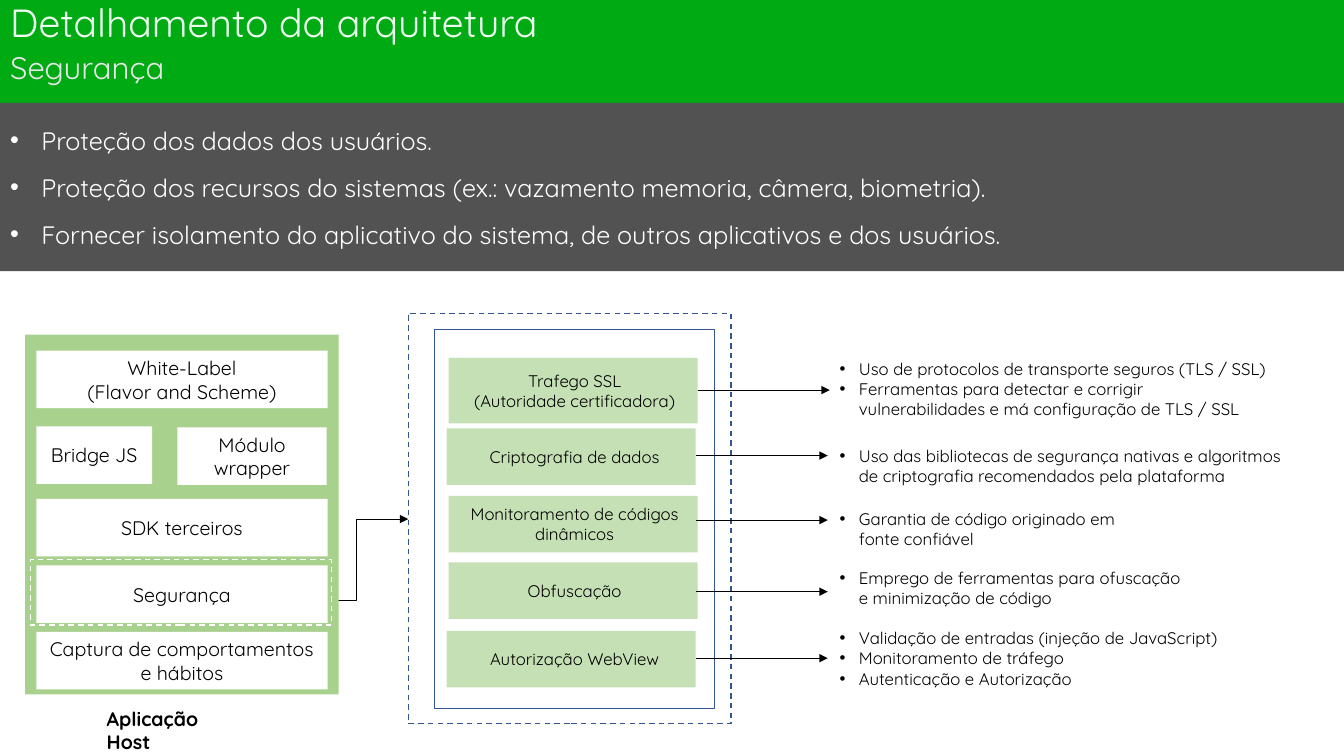
import pptx
import pptx.util
import pptx.dml.color
import pptx.enum.dml
import pptx.enum.shapes
import pptx.enum.text
import pptx.oxml.ns
from lxml import etree

Inches = pptx.util.Inches
Pt = pptx.util.Pt
ALIGN = pptx.enum.text.PP_ALIGN
ANCHOR = pptx.enum.text.MSO_ANCHOR
CONNECTOR = pptx.enum.shapes.MSO_CONNECTOR
FONT = "Quicksand"
COLORS = {
    "header": "00AA13", "title": "EFFFF1", "subtitle": "E7E6E6",
    "goals": "525252", "white": "FFFFFF", "black": "000000",
    "frame": "325491", "measure": "C5E0B4", "host": "A9D18E",
}

GOALS = [
    "Proteção dos dados dos usuários.",
    "Proteção dos recursos do sistemas (ex.: vazamento memoria, câmera, biometria).",
    "Fornecer isolamento do aplicativo do sistema, de outros aplicativos e dos usuários.",
]

COMPONENTS = [
    ("White-Label\v(Flavor and Scheme)", 0.11, 0.16, 2.89),
    ("Bridge JS", 0.11, 0.91, 1.15),
    ("Módulo wrapper", 1.51, 0.92, 1.48),
    ("SDK terceiros", 0.11, 1.63, 2.89),
    ("Segurança", 0.11, 2.29, 2.89),
    ("Captura de comportamentos\ve hábitos", 0.11, 2.95, 2.89),
]

MEASURES = [
    ("Trafego SSL\n(Autoridade certificadora)", 0.4, 0.44, 0.65),
    ("Criptografia de dados", 0.38, 1.14, 0.56),
    ("Monitoramento de códigos dinâmicos", 0.4, 1.81, 0.56),
    ("Obfuscação", 0.4, 2.47, 0.56),
    ("Autorização WebView", 0.38, 3.15, 0.56),
]

DETAILS = [
    (["Uso de protocolos de transporte seguros (TLS / SSL)",
      "Ferramentas para detectar e corrigir vulnerabilidades e má configuração de TLS / SSL"],
     0.4, 4.49, 0.71, 6.92, 0.76),
    (["Uso das bibliotecas de segurança nativas e algoritmos de criptografia "
      "recomendados pela plataforma"], 1.26, 4.62, 0.5, 6.9, 1.41),
    (["Garantia de código originado em fonte confiável"], 1.89, 3.2, 0.5, 6.9, 2.05),
    (["Emprego de ferramentas para ofuscação e minimização de código"],
     2.47, 3.7, 0.5, 6.9, 2.76),
    (["Validação de entradas (injeção de JavaScript)", "Monitoramento de tráfego",
      "Autenticação e Autorização"], 3.07, 4.19, 0.71, 6.9, 3.42),
]


def color(name):
    return pptx.dml.color.RGBColor.from_string(COLORS[name])


def place(shape, left, top, width, height):
    shape.left, shape.top = Inches(left), Inches(top)
    shape.width, shape.height = Inches(width), Inches(height)


def set_indent(paragraph, indent, bullet):
    properties = paragraph._p.get_or_add_pPr()
    properties.set("marL", str(Inches(indent)))
    properties.set("indent", str(-Inches(indent)))
    if bullet:
        font = etree.SubElement(properties, pptx.oxml.ns.qn("a:buFont"))
        font.set("typeface", "Arial")
        mark = etree.SubElement(properties, pptx.oxml.ns.qn("a:buChar"))
        mark.set("char", "•")
    else:
        etree.SubElement(properties, pptx.oxml.ns.qn("a:buNone"))


def write(shape, text, size, ink="black", align=ALIGN.LEFT, anchor=ANCHOR.TOP,
          indent=None, bullet=True, after=0, spacing=1.0, bold=False):
    frame = shape.text_frame
    frame.text = text
    frame.word_wrap = True
    frame.auto_size = pptx.enum.text.MSO_AUTO_SIZE.NONE
    frame.vertical_anchor = anchor
    for paragraph in frame.paragraphs:
        if indent is not None:
            set_indent(paragraph, indent, bullet)
        paragraph.alignment = align
        paragraph.line_spacing = spacing
        paragraph.space_before = Pt(0)
        paragraph.space_after = Pt(after)
        paragraph.font.name = FONT
        paragraph.font.size = Pt(size)
        paragraph.font.bold = bold
        paragraph.font.color.rgb = color(ink)


def add_box(slide, left, top, width, height, fill=None, line=None, dashed=False):
    shape = slide.shapes.add_shape(
        pptx.enum.shapes.MSO_SHAPE.RECTANGLE,
        Inches(left), Inches(top), Inches(width), Inches(height))
    shape.shadow.inherit = False
    if fill:
        shape.fill.solid()
        shape.fill.fore_color.rgb = color(fill)
    else:
        shape.fill.background()
    if line:
        shape.line.color.rgb = color(line)
        shape.line.width = Pt(1)
        if dashed:
            shape.line.dash_style = pptx.enum.dml.MSO_LINE.DASH
    else:
        shape.line.fill.background()
    return shape


def add_arrow(slide, kind, start, end):
    arrow = slide.shapes.add_connector(kind, *(Inches(value) for value in start + end))
    arrow.line.color.rgb = color("black")
    arrow.line.width = Pt(0.5)
    head = etree.SubElement(arrow.line._get_or_add_ln(), pptx.oxml.ns.qn("a:tailEnd"))
    head.set("type", "triangle")
    etree.SubElement(arrow._element.spPr, pptx.oxml.ns.qn("a:effectLst"))


def add_header(slide, left, top, width, height):
    band = add_box(slide, left, top, width, height, fill="header")
    slide.shapes._spTree.insert(2, band._element)
    title, subtitle = slide.shapes.title, slide.placeholders[1]
    place(title, left, top, 10, 0.5)
    write(title, "Detalhamento da arquitetura", 28, "title",
          anchor=ANCHOR.MIDDLE, spacing=0.9)
    place(subtitle, left, top + 0.5, 10, 0.4)
    write(subtitle, "Segurança", 22.2, "subtitle", indent=0, bullet=False, spacing=0.8)


def add_goals(slide, left, top, width, height):
    goals = slide.placeholders[2]
    place(goals, left, top, width, height)
    goals.fill.solid()
    goals.fill.fore_color.rgb = color("goals")
    write(goals, "\n".join(GOALS), 18, "white", anchor=ANCHOR.MIDDLE, indent=0.31, after=12)


def add_host(slide, left, top, width, height):
    add_box(slide, left, top, width, height, fill="host")
    for text, across, down, wide in COMPONENTS:
        component = add_box(slide, left + across, top + down, wide, 0.57, fill="white")
        write(component, text, 14, align=ALIGN.CENTER, anchor=ANCHOR.MIDDLE)
    add_box(slide, left + 0.05, top + 2.23, 2.99, 0.65, line="white", dashed=True)
    caption = slide.shapes.add_textbox(
        Inches(left + 0.71), Inches(top + 3.64), Inches(1.4), Inches(0.34))
    write(caption, "Aplicação Host", 14, bold=True)


def add_measures(slide, left, top, width, height):
    add_box(slide, left, top, width, height, line="frame", dashed=True)
    add_box(slide, left + 0.26, top + 0.16, 2.78, 3.76, line="frame")
    for text, across, down, tall in MEASURES:
        measure = add_box(slide, left + across, top + down, 2.47, tall, fill="measure")
        write(measure, text, 12, align=ALIGN.CENTER, anchor=ANCHOR.MIDDLE)
        measure.text_frame.margin_left = Inches(0.49 - across)
        measure.text_frame.margin_right = Inches(across - 0.34)


def add_details(slide, left, top):
    for items, down, wide, tall, arrow_start, arrow_down in DETAILS:
        detail = slide.shapes.add_textbox(
            Inches(left), Inches(top + down), Inches(wide), Inches(tall))
        write(detail, "\n".join(items), 12, indent=0.19)
        arrow_top = top + arrow_down
        add_arrow(slide, CONNECTOR.STRAIGHT,
                  (arrow_start, arrow_top), (arrow_start + 1.31, arrow_top))


def main():
    presentation = pptx.Presentation()
    presentation.slide_width = Inches(13.33)
    presentation.slide_height = Inches(7.5)
    slide = presentation.slides.add_slide(presentation.slide_layouts[3])
    add_header(slide, 0, 0, 13.33, 1.02)
    add_goals(slide, 0, 1.02, 13.33, 1.67)
    add_measures(slide, 4.05, 3.11, 3.2, 4.07)
    add_arrow(slide, CONNECTOR.ELBOW, (3.01, 5.96), (4.05, 5.15))
    add_host(slide, 0.25, 3.32, 3.11, 3.57)
    add_details(slide, 8.23, 3.11)
    presentation.save("out.pptx")


if __name__ == "__main__":
    main()
